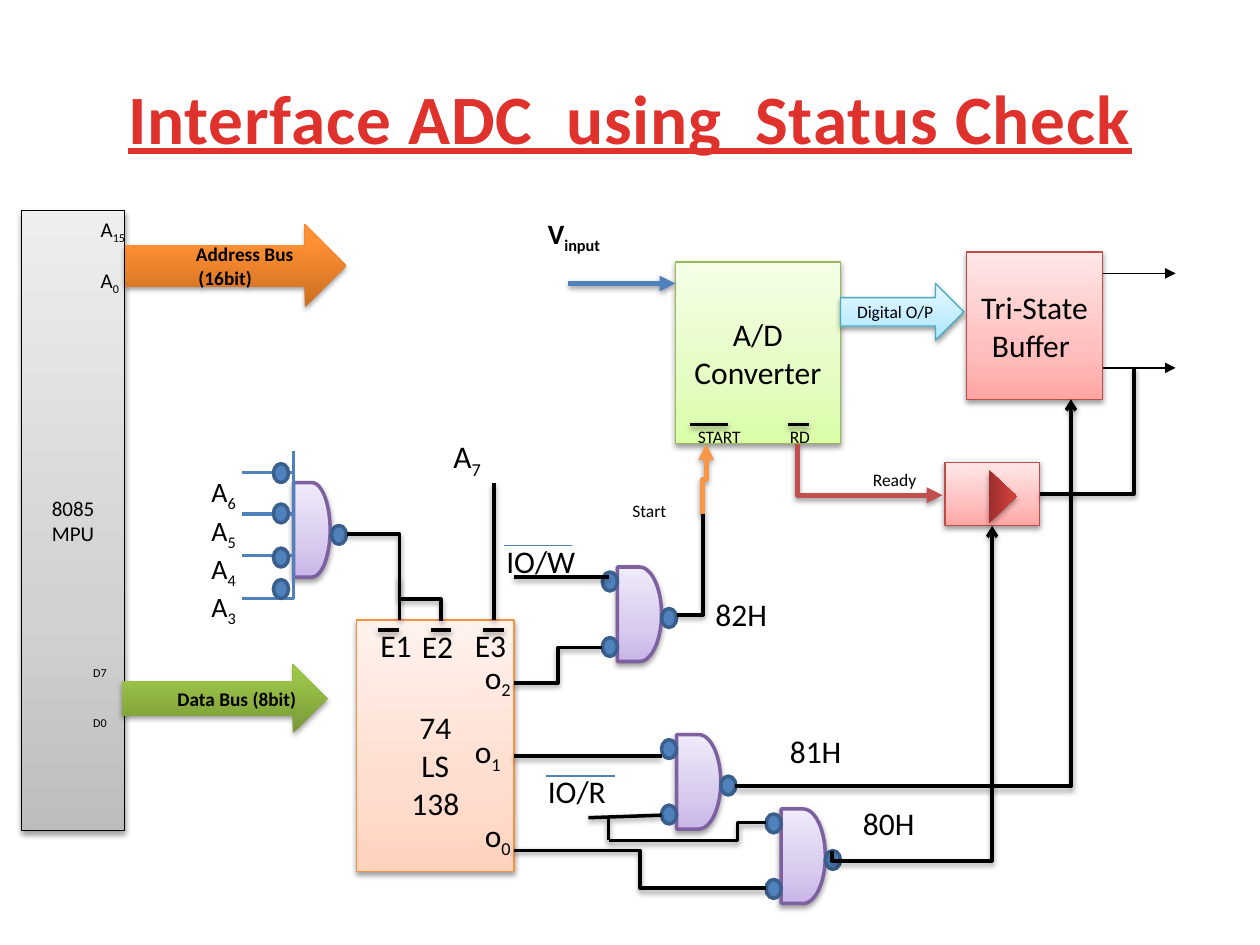
from lxml.etree import SubElement
from copy import deepcopy
from pptx import Presentation
from pptx.dml.color import RGBColor
from pptx.enum.shapes import MSO_CONNECTOR as CONNECTOR, MSO_SHAPE as SHAPE
from pptx.enum.text import MSO_ANCHOR as ANCHOR, PP_ALIGN as ALIGN
from pptx.oxml import parse_xml
from pptx.oxml.ns import nsdecls, qn
from pptx.util import Inches, Pt

BLACK = RGBColor(0x00, 0x00, 0x00)
TITLE_RED = RGBColor(0xE0, 0x32, 0x2D)
BLUE = RGBColor(0x4F, 0x81, 0xBD)
BLUE_EDGE = RGBColor(0x3A, 0x5F, 0x8C)
RED = RGBColor(0xC0, 0x50, 0x4D)
ORANGE = RGBColor(0xF7, 0x96, 0x46)
GREEN_EDGE = RGBColor(0x98, 0xB9, 0x55)
CYAN_EDGE = RGBColor(0x46, 0xAA, 0xC5)
RED_EDGE = RGBColor(0xBF, 0x4C, 0x48)
ORANGE_EDGE = RGBColor(0xF6, 0x92, 0x40)
PURPLE_EDGE = RGBColor(0x7D, 0x60, 0xA0)

# Gradients from bottom to top: middle stop position, then three colours
GREEN_RAMP = (0.35, RGBColor(0xDA, 0xFD, 0xA7), RGBColor(0xE4, 0xFC, 0xC2), RGBColor(0xF5, 0xFF, 0xE7))
CYAN_RAMP = (0.35, RGBColor(0xA7, 0xE6, 0xFF), RGBColor(0xC1, 0xED, 0xFF), RGBColor(0xE7, 0xF8, 0xFF))
PINK_RAMP = (0.35, RGBColor(0xFF, 0xA6, 0xA5), RGBColor(0xFF, 0xC0, 0xBF), RGBColor(0xFF, 0xE7, 0xE7))
RED_RAMP = (0.8, RGBColor(0x9C, 0x2F, 0x2D), RGBColor(0xCB, 0x3E, 0x3A), RGBColor(0xCE, 0x3B, 0x37))
GRAY_RAMP = (0.35, RGBColor(0xBD, 0xBD, 0xBD), RGBColor(0xD1, 0xD1, 0xD1), RGBColor(0xEE, 0xEE, 0xEE))
ORANGE_RAMP = (0.8, RGBColor(0xCC, 0x6E, 0x20), RGBColor(0xFF, 0x90, 0x34), RGBColor(0xFF, 0x91, 0x36))
LIME_RAMP = (0.8, RGBColor(0x77, 0x97, 0x37), RGBColor(0x9B, 0xC3, 0x48), RGBColor(0x9D, 0xC7, 0x46))
PEACH_RAMP = (0.35, RGBColor(0xFF, 0xD2, 0xBD), RGBColor(0xFF, 0xDE, 0xD0), RGBColor(0xFF, 0xF2, 0xED))
PURPLE_RAMP = (0.35, RGBColor(0xC9, 0xB5, 0xE8), RGBColor(0xD8, 0xCB, 0xEE), RGBColor(0xF0, 0xEA, 0xF9))

SHADOW = (f'<a:outerShdw {nsdecls("a")} blurRad="40000" dist="20000" dir="5400000" rotWithShape="0">'
          '<a:srgbClr val="000000"><a:alpha val="38000"/></a:srgbClr></a:outerShdw>')

presentation = Presentation()
presentation.slide_width, presentation.slide_height = Inches(10), Inches(7.5)
slide = presentation.slides.add_slide(presentation.slide_layouts[5])


def write_text(shape, text, size=18, color=BLACK, bold=False, underline=None, align=ALIGN.LEFT,
               anchor=ANCHOR.TOP, indent=0, top=0.05, spacing=0):
    """Write lines of text; what follows an underscore is subscript."""
    frame = shape.text_frame
    frame.word_wrap = True
    frame.vertical_anchor = anchor
    frame.margin_top = Inches(top)
    for index, line in enumerate(text.split("\n")):
        paragraph = frame.add_paragraph() if index else frame.paragraphs[0]
        paragraph.alignment = align
        if indent:
            paragraph._p.get_or_add_pPr().set("indent", str(Inches(indent)))
        for level, part in enumerate(line.split("_")):
            if not part:
                continue
            run = paragraph.add_run()
            run.text = part
            font = run.font
            font.name, font.size, font.bold, font.underline = "Calibri", Pt(size), bold, underline
            font.color.rgb = color
            if level:
                run._r.get_or_add_rPr().set("baseline", "-25000")
            if spacing:
                run._r.get_or_add_rPr().set("spc", str(spacing))


def add_wire(begin, end, color=BLACK, width=2, head=None, shadow=True, bend=None, rotation=0):
    """Draw a straight wire, a corner (bend="corner") or an elbow bent at a share of its length."""
    kind = CONNECTOR.STRAIGHT if bend is None else CONNECTOR.ELBOW
    wire = slide.shapes.add_connector(kind, *map(Inches, begin + end))
    wire.rotation = rotation
    wire.line.color.rgb = color
    wire.line.width = Pt(width)
    properties = wire._element.spPr
    geometry = properties.find(qn("a:prstGeom"))
    if bend == "corner":
        geometry.set("prst", "bentConnector2")
    elif bend is not None:
        guides = geometry.find(qn("a:avLst"))
        SubElement(guides, qn("a:gd"), name="adj1", fmla=f"val {round(bend * 100000)}")
    if head:
        SubElement(properties.find(qn("a:ln")), qn("a:tailEnd"), type=head)
    effects = SubElement(properties, qn("a:effectLst"))
    if shadow:
        effects.append(parse_xml(SHADOW))


# Title
title = slide.shapes.title
title.left, title.top, title.width, title.height = map(Inches, (0.5, 0.3, 9, 1.25))
write_text(title, "Interface ADC  using  Status Check", size=39.6, color=TITLE_RED, bold=True,
           underline=True, align=ALIGN.CENTER, anchor=ANCHOR.MIDDLE, spacing=50)

# Blocks, bus arrows and gates: kind, place, gradient, edge, edge width, text, text format
gates = [(4.9, 4.5), (5.37, 5.83), (6.2, 6.42)]
blocks = [
    (SHAPE.RECTANGLE, (5.36, 2.08, 1.31, 1.44), GREEN_RAMP, GREEN_EDGE, 0.75, "A/D\nConverter", {}),
    (SHAPE.RIGHT_ARROW, (6.67, 2.25, 0.98, 0.45), CYAN_RAMP, CYAN_EDGE, 0.75, "Digital O/P", {"size": 10}),
    (SHAPE.RECTANGLE, (7.67, 2, 1.08, 1.17), PINK_RAMP, RED_EDGE, 0.75, "Tri-State\nBuffer ", {}),
    (SHAPE.RECTANGLE, (7.5, 3.67, 0.75, 0.5), PINK_RAMP, RED_EDGE, 0.75, "", {}),
    (SHAPE.ISOSCELES_TRIANGLE, (7.75, 3.83, 0.42, 0.22), RED_RAMP, None, 0, "", {}),
    (SHAPE.RECTANGLE, (0.17, 1.67, 0.82, 4.92), GRAY_RAMP, BLACK, 0.75, "8085\nMPU", {"size": 12}),
    (SHAPE.RIGHT_ARROW, (0.99, 1.78, 1.76, 0.66), ORANGE_RAMP, None, 0, "Address Bus (16bit)",
     {"size": 11, "bold": True, "indent": 0.31}),
    (SHAPE.RIGHT_ARROW, (0.97, 5.27, 1.63, 0.55), LIME_RAMP, None, 0, "Data Bus (8bit)",
     {"size": 11, "bold": True, "indent": 0.34, "align": ALIGN.LEFT}),
    (SHAPE.RECTANGLE, (2.83, 4.92, 1.25, 2), PEACH_RAMP, ORANGE_EDGE, 0.75, "74\nLS\n138", {"top": 0.35}),
    (SHAPE.FLOWCHART_DELAY, (2.33, 3.83, 0.29, 0.75), PURPLE_RAMP, PURPLE_EDGE, 2, "", {}),
]
for left, top in gates:
    blocks.append((SHAPE.FLOWCHART_DELAY, (left, top, 0.35, 0.75), PURPLE_RAMP, PURPLE_EDGE, 2, "", {}))
for kind, place, (middle, *colors), edge, edge_width, text, text_format in blocks:
    shape = slide.shapes.add_shape(kind, *map(Inches, place))
    shape.fill.gradient()
    shape.fill.gradient_angle = 90
    stop_list = shape._element.spPr.find(".//" + qn("a:gsLst"))
    stop_list.insert(1, deepcopy(stop_list[0]))
    for stop, position, color in zip(shape.fill.gradient_stops, (0, middle, 1), colors):
        stop.position = position
        stop.color.rgb = color
    if edge is None:
        shape.line.fill.background()
    else:
        shape.line.color.rgb = edge
        shape.line.width = Pt(edge_width)
    shape.shadow.inherit = False
    shape._element.spPr.find(qn("a:effectLst")).append(parse_xml(SHADOW))
    if kind == SHAPE.ISOSCELES_TRIANGLE:
        shape.rotation = 90
    if text:
        write_text(shape, text, **{"align": ALIGN.CENTER, "anchor": ANCHOR.MIDDLE, **text_format})

# Address inputs A6 to A3
for y in (3.75, 4.08, 4.41, 4.75):
    add_wire((1.92, y), (2.33, y), BLUE, shadow=False)

# Inversion bubbles
bubbles = [(2.17, 3.68), (2.17, 4), (2.17, 4.35), (2.17, 4.6), (2.63, 4.17)]
for left, top in gates:
    bubbles += [(left - 0.12, top + 0.04), (left - 0.12, top + 0.56), (left + 0.35, top + 0.33)]
for left, top in bubbles:
    bubble = slide.shapes.add_shape(SHAPE.FLOWCHART_CONNECTOR, *map(Inches, (left, top, 0.12, 0.15)))
    bubble.fill.solid()
    bubble.fill.fore_color.rgb = BLUE
    bubble.line.color.rgb = BLUE_EDGE
    bubble.line.width = Pt(2)
    bubble.shadow.inherit = False
add_wire((2.33, 3.58), (2.33, 4.75), BLUE, shadow=False)

# Converter signals
add_wire((4.51, 2.25), (5.36, 2.25), BLUE, 3, "triangle")
add_wire((6.33, 3.52), (7.48, 3.93), RED, 3, "triangle", bend=0)
add_wire((5.87, 3.82), (5.31, 3.79), ORANGE, 3, "triangle", bend=0.5, rotation=90)

# Buffer outputs
for y in (2.17, 2.92):
    add_wire((8.75, y), (9.33, y), width=0.75, head="triangle", shadow=False)

# Corner wires
for begin, end, head in [((8.25, 3.92), (9, 2.92), None), ((5.37, 4.88), (5.58, 4.08), None),
                         ((2.75, 4.24), (3.17, 4.92), None), ((5.83, 6.24), (8.5, 3.17), "arrow")]:
    add_wire(begin, end, head=head, bend="corner")

# Elbow wires; the turned ones are given as they lie before rotation
add_wire((3.51, 4.59), (3.16, 4.92), bend=0.5, rotation=270)
add_wire((4.08, 6.75), (6.08, 7.05), bend=0.5)
add_wire((4.83, 6.67), (6.08, 6.53), bend=0.82)
add_wire((4.08, 5.42), (4.78, 5.14), bend=0.5)
add_wire((8.53, 6.1), (5.95, 4.83), head="arrow", bend=-0.03, rotation=90)

# Straight wires
for begin, end in [((3.92, 4.92), (3.92, 3.83)), ((4.08, 6), (5.25, 6)), ((4.67, 6.49), (5.25, 6.47)),
                   ((4.83, 6.67), (4.83, 6.5)), ((4.08, 4.58), (4.83, 4.58))]:
    add_wire(begin, end)

# Bars over active-low names
for left, right, y in [(5.48, 5.78, 3.37), (6.25, 6.42, 3.37), (3, 3.17, 5), (3.42, 3.58, 5), (3.83, 4, 5)]:
    add_wire((left, y), (right, y))
for left, right, y in [(4, 4.54, 4.33), (4.33, 4.88, 6.16)]:
    add_wire((left, y), (right, y), BLUE, 0.75, shadow=False)

# Labels: text, place, size
labels = [
    ("V_input", (4.25, 1.67, 1, 0.37), 16),
    ("Start", (4.92, 3.92, 0.6, 0.29), 10), ("Ready", (6.83, 3.67, 0.7, 0.27), 10),
    ("START", (5.44, 3.33, 0.6, 0.29), 10), ("RD", (6.17, 3.33, 0.43, 0.29), 10),
    ("A_15", (0.7, 1.67, 0.41, 0.69), 12), ("A_0", (0.7, 2.07, 0.41, 0.69), 12),
    ("_D7", (0.64, 5.12, 0.41, 0.53), 12), ("_D0", (0.64, 5.52, 0.41, 0.53), 12),
    ("A_6\nA_5\nA_4\nA_3", (1.58, 3.72, 0.42, 1.46), 16), ("A_7", (3.5, 3.42, 0.67, 0.4), 18),
    ("IO/W", (3.92, 4.25, 0.83, 0.4), 18), ("IO/R", (4.25, 6.08, 0.83, 0.4), 18),
    ("E1", (2.92, 4.92, 0.5, 0.4), 18), ("E2", (3.25, 4.93, 0.5, 0.4), 18), ("E3", (3.67, 4.92, 0.5, 0.4), 18),
    ("o_2", (3.75, 5.17, 0.5, 0.4), 18), ("o_1", (3.67, 5.76, 0.5, 0.4), 18), ("o_0", (3.75, 6.43, 0.5, 0.4), 18),
    ("82H", (5.58, 4.67, 0.75, 0.4), 18), ("81H", (6.17, 5.76, 0.75, 0.4), 18), ("80H", (6.75, 6.33, 0.75, 0.4), 18),
]
for text, place, size in labels:
    label = slide.shapes.add_textbox(*map(Inches, place))
    write_text(label, text, size=size, bold=text == "V_input")

presentation.save("out.pptx")
